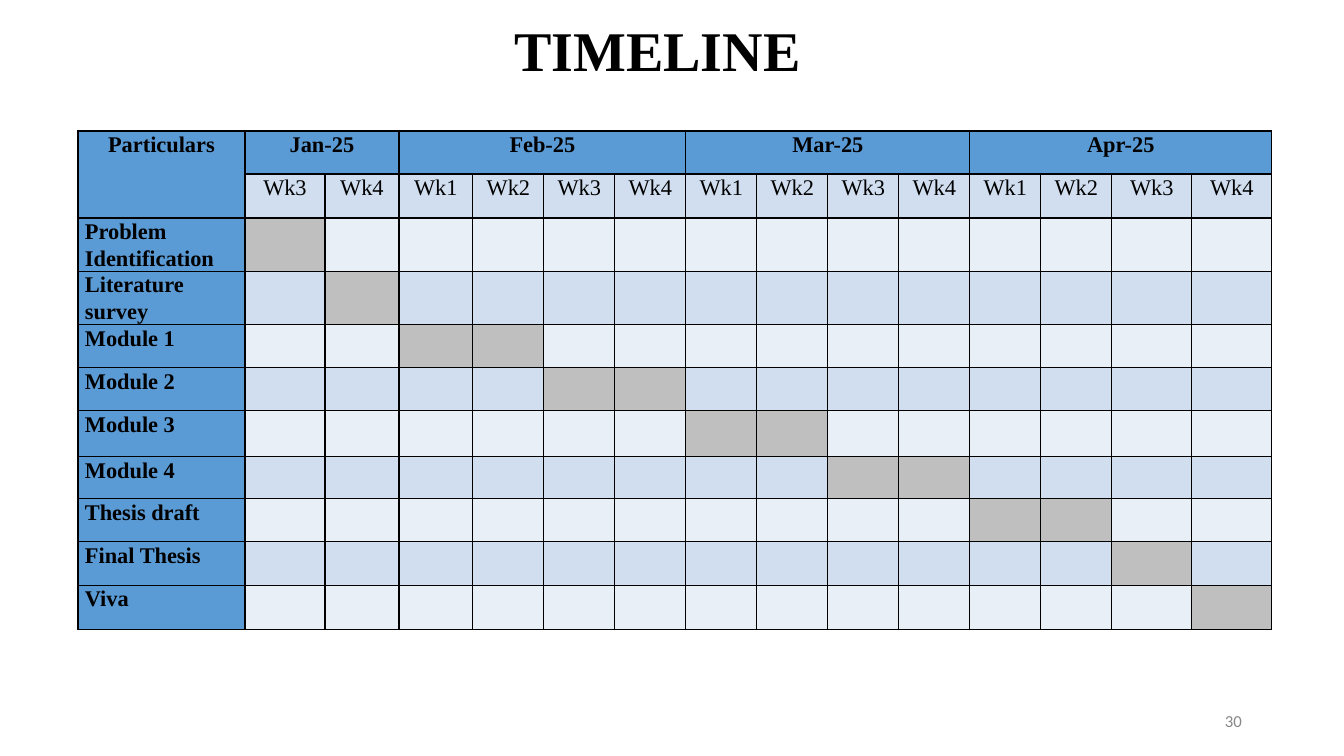
from pptx import Presentation
from pptx import util as u
from pptx.dml.color import RGBColor
from pptx.enum import text
from pptx.oxml.ns import qn
from lxml import etree

TITLE = "TIMELINE"
PAGE_NUMBER = "30"
CORNER = "Particulars"
MONTHS = [
    ("Jan-25", ["Wk3", "Wk4"]),
    ("Feb-25", ["Wk1", "Wk2", "Wk3", "Wk4"]),
    ("Mar-25", ["Wk1", "Wk2", "Wk3", "Wk4"]),
    ("Apr-25", ["Wk1", "Wk2", "Wk3", "Wk4"]),
]
TASKS = [
    ("Problem\nIdentification", [1]),
    ("Literature\nsurvey", [2]),
    ("Module 1", [3, 4]),
    ("Module 2", [5, 6]),
    ("Module 3", [7, 8]),
    ("Module 4", [9, 10]),
    ("Thesis draft", [11, 12]),
    ("Final Thesis", [13]),
    ("Viva", [14]),
]

BLACK = RGBColor(0x00, 0x00, 0x00)
BLUE = RGBColor(0x5B, 0x9B, 0xD5)
BAND_DARK = RGBColor(0xD0, 0xDE, 0xEF)
BAND_LIGHT = RGBColor(0xE9, 0xEF, 0xF7)
BUSY = RGBColor(0xBF, 0xBF, 0xBF)
NUMBER_GREY = RGBColor(0x88, 0x88, 0x88)

COLUMN_WIDTHS = [167, 80, 74, 74] + [71] * 9 + [80, 80]
ROW_HEIGHTS = [43, 44, 53, 53, 43, 43, 46, 42, 43, 44, 44]
SERIF = "Times New Roman"
HEADING = {"name": SERIF, "size": u.Pt(16), "bold": True}
WEEK = {**HEADING, "bold": False}
CENTER = text.PP_ALIGN.CENTER
LEFT = text.PP_ALIGN.LEFT


def px(length):
    return u.Emu(round(length * 914400 / 100.8))


def write(frame, words, font, color, align, spacing):
    frame.text = words
    for para in frame.paragraphs:
        para.alignment = align
        para.line_spacing = spacing
        for span in para.runs:
            for name, value in font.items():
                setattr(span.font, name, value)
            span.font.color.rgb = color


def place(box, left, top, width, height):
    box.left, box.top = px(left), px(top)
    box.width, box.height = px(width), px(height)
    frame = box.text_frame
    frame.word_wrap = True
    frame.auto_size = text.MSO_AUTO_SIZE.NONE
    frame.vertical_anchor = text.MSO_ANCHOR.MIDDLE
    return frame


def style_cell(cell, fill):
    margins = {"margin_left": px(7), "margin_right": px(7), "margin_top": 0, "margin_bottom": 0}
    for name, value in margins.items():
        setattr(cell, name, value)
    properties = cell._tc.get_or_add_tcPr()
    for side in ("a:lnL", "a:lnR", "a:lnT", "a:lnB"):
        line = etree.SubElement(properties, qn(side), w=str(u.Pt(1)))
        solid = etree.SubElement(line, qn("a:solidFill"))
        etree.SubElement(solid, qn("a:srgbClr"), val=str(BLACK))
    cell.fill.solid()
    cell.fill.fore_color.rgb = fill


def cell_color(row, column):
    if row == 0 or column == 0:
        return BLUE
    if row > 1 and column in TASKS[row - 2][1]:
        return BUSY
    return BAND_DARK if row % 2 else BAND_LIGHT


def add_timeline(page):
    frame = page.shapes.add_table(
        len(ROW_HEIGHTS), len(COLUMN_WIDTHS), px(78), px(131),
        px(sum(COLUMN_WIDTHS)), px(sum(ROW_HEIGHTS)))
    table = frame.table
    table.first_row = table.horz_banding = False
    for column, width in zip(table.columns, COLUMN_WIDTHS):
        column.width = px(width)
    for row, height in zip(table.rows, ROW_HEIGHTS):
        row.height = px(height)
    for row in range(len(ROW_HEIGHTS)):
        for column in range(len(COLUMN_WIDTHS)):
            style_cell(table.cell(row, column), cell_color(row, column))

    def label(row, column, words, font=HEADING, align=CENTER):
        write(table.cell(row, column).text_frame, words, font, BLACK, align, 1.07)

    table.cell(0, 0).merge(table.cell(1, 0))
    label(0, 0, CORNER)
    start = 1
    for month, weeks in MONTHS:
        table.cell(0, start).merge(table.cell(0, start + len(weeks) - 1))
        label(0, start, month)
        for column, week in enumerate(weeks, start):
            label(1, column, week, WEEK)
        start += len(weeks)
    for row, (task, _) in enumerate(TASKS, 2):
        label(row, 0, task, align=LEFT)


def main():
    deck = Presentation()
    deck.slide_width, deck.slide_height = px(1344), px(756)
    page = deck.slides.add_slide(deck.slide_layouts[5])
    add_timeline(page)
    title = place(page.shapes.title, 78, 14, 1159, 78)
    write(title, TITLE, {**HEADING, "size": u.Pt(40)}, BLACK, CENTER, 0.9)
    number = place(page.shapes.add_textbox(0, 0, 0, 0), 950, 701, 302, 40)
    write(number, PAGE_NUMBER, {"name": "Calibri", "size": u.Pt(12)},
          NUMBER_GREY, text.PP_ALIGN.RIGHT, 1.0)
    deck.save("out.pptx")


if __name__ == "__main__":
    main()
